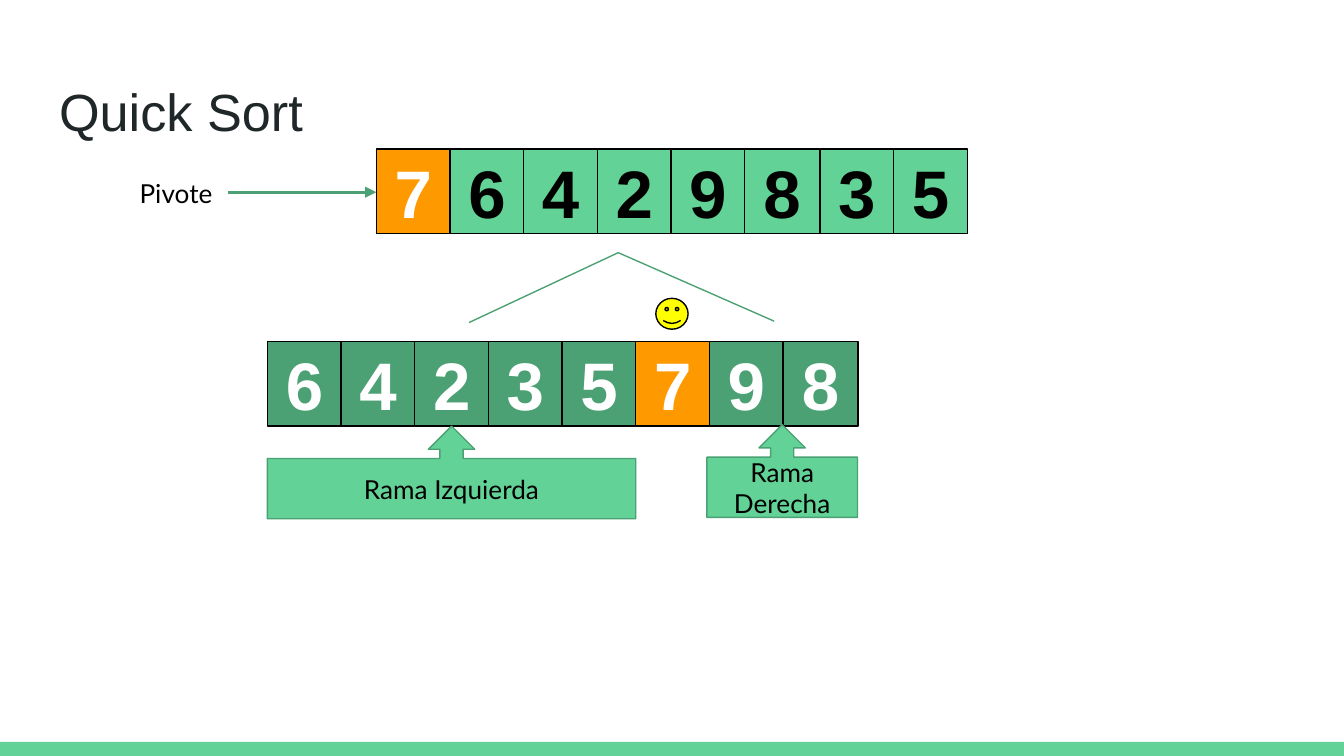
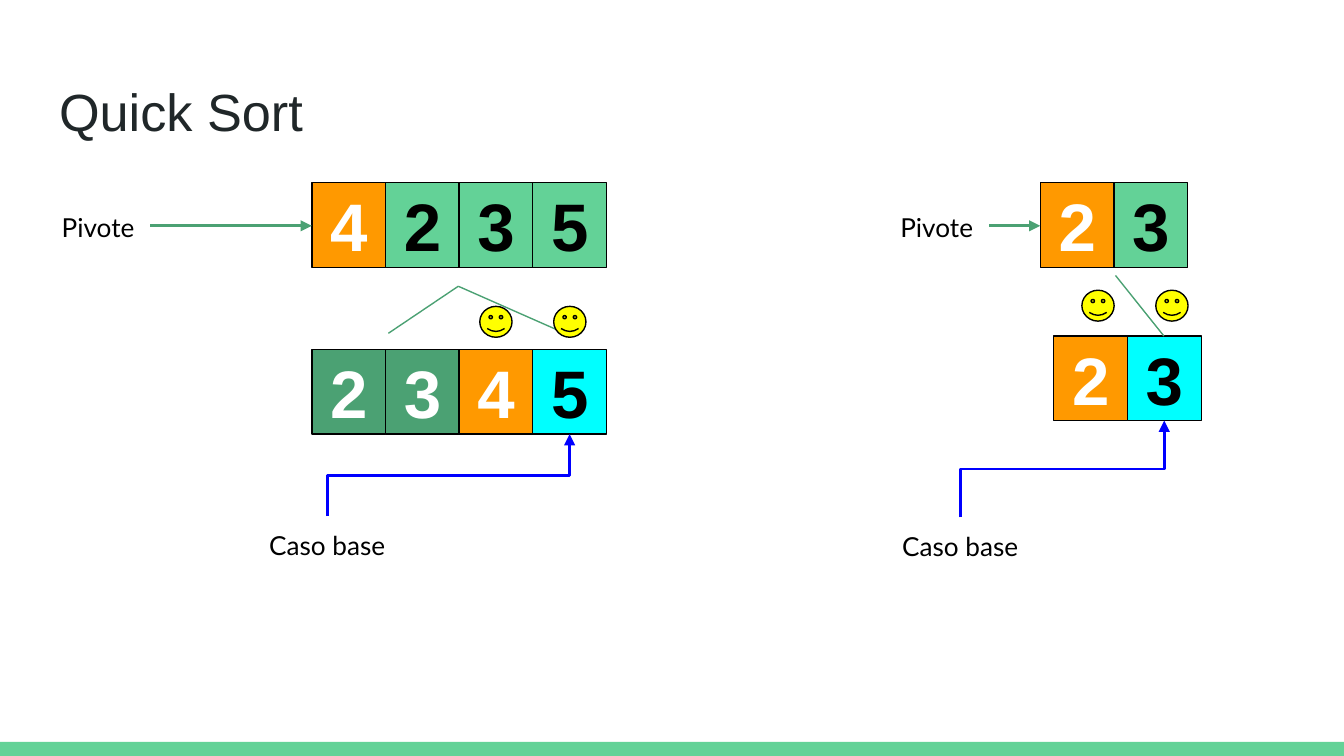
import pptx
import pptx.util
import pptx.dml.color
import pptx.enum.shapes
import pptx.enum.text
import pptx.oxml
import pptx.oxml.ns

TITLE = "Quick Sort"
COLORS = {
    "ink": "202729", "black": "000000", "white": "FFFFFF",
    "light": "63D297", "dark": "4BA173", "pivot": "FF9900",
    "base": "00FFFF", "blue": "0000FF", "smile": "FFFF00",
}
# Kind of cell: fill and text colour
KINDS = {
    "p": ("pivot", "white"), "l": ("light", "black"),
    "d": ("dark", "white"), "b": ("base", "black"),
}
# Rows are (left, top, digits, kinds); branches are (text, left, top, width)
SLIDES = [
    [{
        "label": 0.92,
        "start": (2.8, 1.11, "76429835", "plllllll"),
        "end": (1.99, 2.54, "64235798", "dddddpdd"),
        "fork": (4.6, 1.88), "tips": [(3.49, 2.4), (5.76, 2.39)],
        "branches": [("Rama Izquierda", 1.99, 3.17, 2.74),
                     ("Rama Derecha", 5.26, 3.16, 1.12)],
        "faces": [(4.88, 2.22)],
    }],
    [{
        "label": 0.34,
        "start": (2.32, 1.36, "4235", "plll"),
        "end": (2.32, 2.6, "2345", "ddpb"),
        "fork": (3.41, 2.13), "tips": [(2.89, 2.48), (4.18, 2.47)],
        "faces": [(3.57, 2.28), (4.12, 2.28)],
        "base": (1.87, 3.84),
    }, {
        "label": 6.58,
        "start": (7.74, 1.36, "23", "pl"),
        "end": (7.84, 2.5, "23", "pb"),
        "fork": (8.3, 2.05), "tips": [(8.66, 2.5)],
        "faces": [(8.05, 2.16), (8.6, 2.16)],
        "base": (6.58, 3.85),
    }],
]
CELL_W, CELL_H = 0.55, 0.63
PITCH = 2.74 / 5
WIDE = {"8": 0.56}
FACE_W, FACE_H = 0.24, 0.23
PIVOT_W, BASE_W, LABEL_H = 0.78, 1.13, 0.41

Inches = pptx.util.Inches
Pt = pptx.util.Pt
Shape = pptx.enum.shapes.MSO_SHAPE
Link = pptx.enum.shapes.MSO_CONNECTOR
Align = pptx.enum.text.PP_ALIGN
Anchor = pptx.enum.text.MSO_ANCHOR


def rgb(name):
    return pptx.dml.color.RGBColor.from_string(COLORS[name])


def write(shape, text, size, color, font="Lato", bold=False,
          align=Align.CENTER, anchor=Anchor.MIDDLE):
    frame = shape.text_frame
    frame.text = text
    frame.word_wrap = True
    frame.auto_size = pptx.enum.text.MSO_AUTO_SIZE.NONE
    frame.vertical_anchor = anchor
    frame.margin_left = frame.margin_right = Inches(0.1)
    frame.margin_top = frame.margin_bottom = Inches(0.1)
    para = frame.paragraphs[0]
    para.alignment = align
    para.font.name, para.font.size, para.font.bold = font, Pt(size), bold
    para.font.color.rgb = rgb(color)


def draw(slide, kind, box, fill, line=None):
    shape = slide.shapes.add_shape(kind, *map(Inches, box))
    shape.shadow.inherit = False
    shape.fill.solid()
    shape.fill.fore_color.rgb = rgb(fill)
    if line:
        shape.line.color.rgb = rgb(line)
        shape.line.width = Pt(0.75)
    else:
        shape.line.fill.background()
    return shape


def label(slide, text, left, top, width):
    box = slide.shapes.add_textbox(*map(Inches, (left, top, width, LABEL_H)))
    write(box, text, 14, "black", anchor=Anchor.TOP)


def link(slide, start, end, color="dark", width=0.75, arrow=False, kind=Link.STRAIGHT):
    line = slide.shapes.add_connector(kind, *map(Inches, (*start, *end)))
    line.line.color.rgb = rgb(color)
    line.line.width = Pt(width)
    props = line._element.spPr
    if arrow:
        tail = pptx.oxml.parse_xml(
            '<a:tailEnd %s type="triangle"/>' % pptx.oxml.ns.nsdecls("a"))
        props.find(pptx.oxml.ns.qn("a:ln")).append(tail)
    props.append(pptx.oxml.parse_xml('<a:effectLst %s/>' % pptx.oxml.ns.nsdecls("a")))
    return line


def elbow(slide, start, end):
    """Arrow that rises, runs right and rises again: a quarter-turned elbow."""
    mid_x, mid_y = (start[0] + end[0]) / 2, (start[1] + end[1]) / 2
    half_w, half_h = (start[1] - end[1]) / 2, (end[0] - start[0]) / 2
    line = link(slide, (mid_x - half_w, mid_y - half_h),
                (mid_x + half_w, mid_y + half_h), "blue", 1.5, True, Link.ELBOW)
    line._element.spPr.find(pptx.oxml.ns.qn("a:xfrm")).set("rot", str(270 * 60000))


def draw_row(slide, left, top, digits, kinds):
    for digit, kind in zip(digits, kinds):
        fill, color = KINDS[kind]
        box = (left, top, WIDE.get(digit, CELL_W), CELL_H)
        cell = draw(slide, Shape.RECTANGLE, box, fill, "black")
        write(cell, digit, 36, color, "Arial", True)
        left += WIDE.get(digit, PITCH)


def draw_step(slide, step):
    left, top, digits, kinds = step["start"]
    label(slide, "Pivote", step["label"], top + 0.11, PIVOT_W)
    draw_row(slide, left, top, digits, kinds)
    mid = top + 0.32
    link(slide, (step["label"] + PIVOT_W, mid), (left, mid), width=1.5, arrow=True)

    left, top, digits, kinds = step["end"]
    draw_row(slide, left, top, digits, kinds)
    for tip in step["tips"]:
        link(slide, step["fork"], tip)
    for text, *box in step.get("branches", []):
        note = draw(slide, Shape.UP_ARROW_CALLOUT, (*box, 0.69), "light", "dark")
        note.adjustments[3] = 0.65
        write(note, text, 14, "black")
    for face in step["faces"]:
        draw(slide, Shape.SMILEY_FACE, (*face, FACE_W, FACE_H), "smile", "black")
    if "base" in step:
        x, y = step["base"]
        label(slide, "Caso base", x, y, BASE_W)
        cell = left + kinds.index("b") * PITCH + CELL_W / 2
        elbow(slide, (x + BASE_W / 2, y), (cell, top + CELL_H))


def add_slide(deck):
    slide = deck.slides.add_slide(deck.slide_layouts[5])
    title = slide.shapes.title
    title.left, title.top, title.width, title.height = map(
        Inches, (0.34, 0.49, 9.32, 0.63))
    write(title, TITLE, 28, "ink", "Arial", align=Align.LEFT, anchor=Anchor.TOP)
    return slide


def main():
    deck = pptx.Presentation()
    deck.slide_width = Inches(10)
    deck.slide_height = deck.slide_width * 9 // 16
    for steps in SLIDES:
        slide = add_slide(deck)
        for step in steps:
            draw_step(slide, step)
    # The footer band is moved to the master, so every slide shows it
    band = draw(slide, Shape.RECTANGLE, (0, 5.52, 10, 0.11), "light")
    deck.slide_master.shapes._spTree.append(band._element)
    deck.save("out.pptx")


if __name__ == "__main__":
    main()
